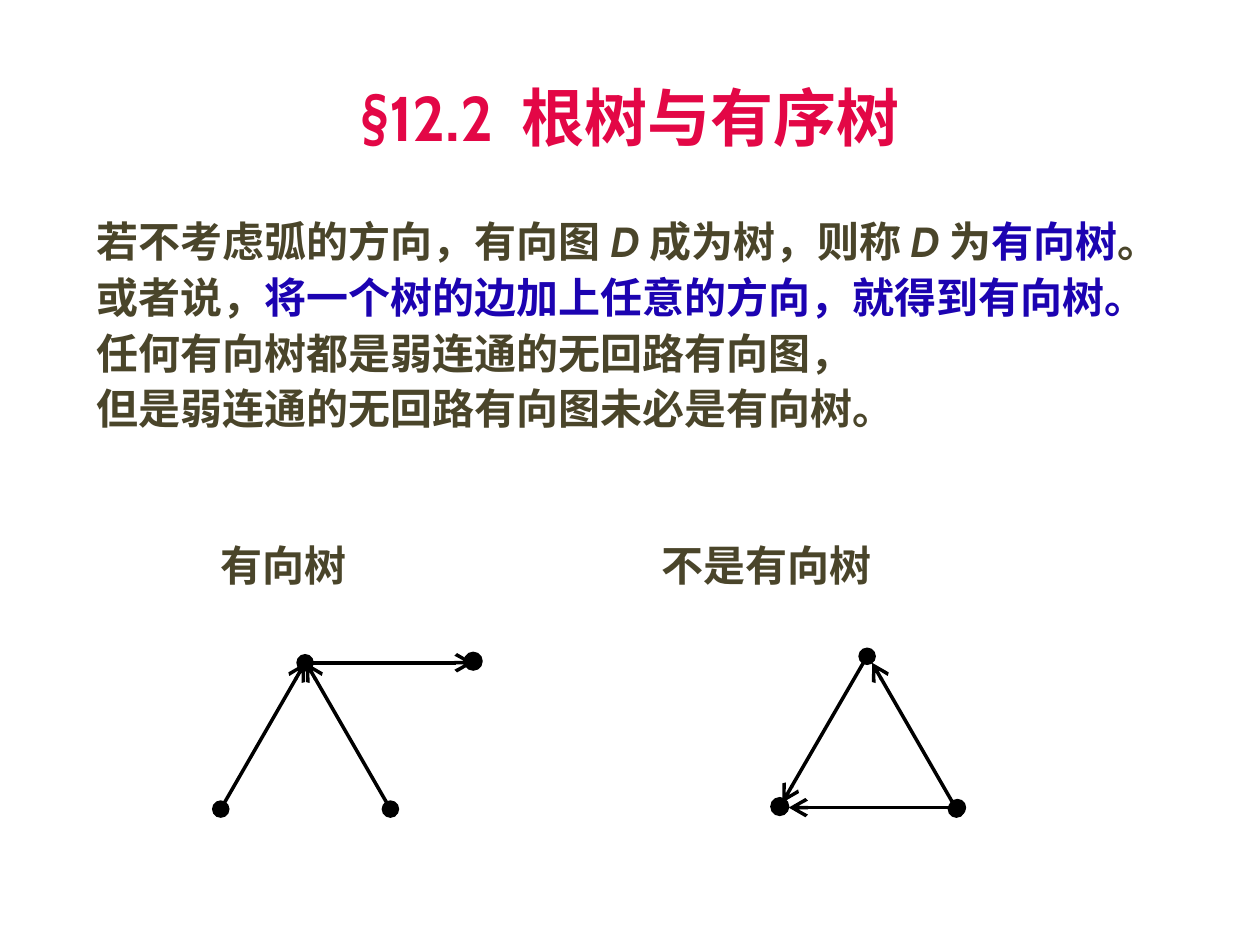
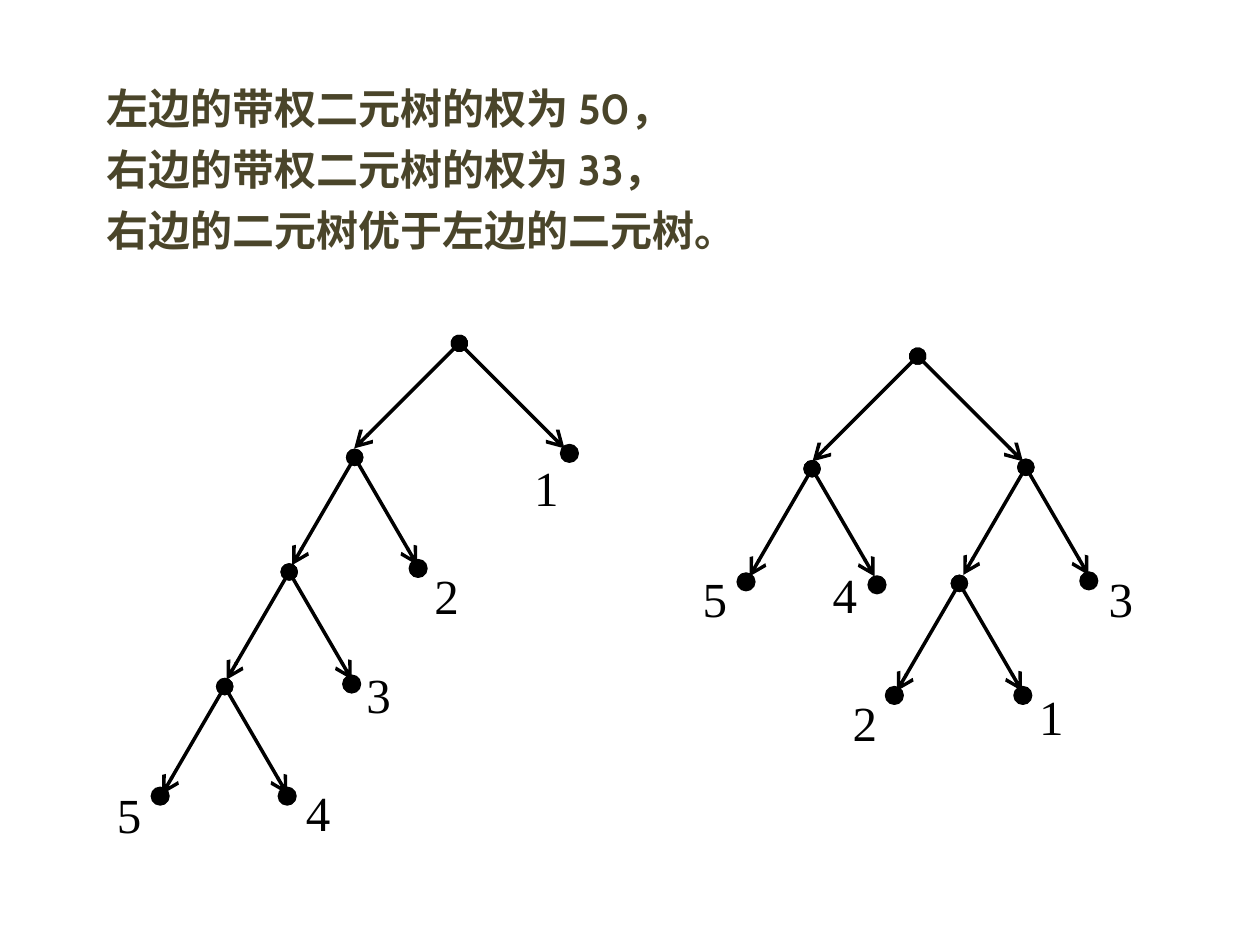
from lxml import etree
from pptx import Presentation
from pptx.dml.color import RGBColor
from pptx.enum.shapes import MSO_CONNECTOR, MSO_SHAPE
from pptx.enum.text import MSO_ANCHOR, MSO_AUTO_SIZE, PP_ALIGN
from pptx.oxml.ns import qn
from pptx.util import Cm, Pt

STRAIGHT = MSO_CONNECTOR.STRAIGHT
OVAL = MSO_SHAPE.OVAL
TOP, MIDDLE = MSO_ANCHOR.TOP, MSO_ANCHOR.MIDDLE
LEFT, CENTER, RIGHT = PP_ALIGN.LEFT, PP_ALIGN.CENTER, PP_ALIGN.RIGHT
NO_FIT = MSO_AUTO_SIZE.NONE

COLORS = {"title": "E30746", "text": "4A452A", "term": "1C03B1", "figure": "000000"}
TITLE = {"name": "Cabin", "size": Pt(36), "bold": True, "color": "title"}
TEXT = {"name": "Cabin", "size": Pt(24), "bold": True, "italic": False, "color": "text"}
TERM = {**TEXT, "color": "term"}
SYMBOL = {**TEXT, "italic": True}
WEIGHT = {"name": "Times New Roman", "size": Pt(28), "bold": False, "color": "figure"}

DOT = 0.36
LABEL_SIZE = (1.6, 1.45)
WIDE, NARROW = (2.12, 2.12), (1.26, 2.17)


def fill_box(box, area, paragraphs, alignment=LEFT, anchor=TOP, spacing=1.0):
    box.left, box.top, box.width, box.height = [Cm(value) for value in area]
    frame = box.text_frame
    settings = {"word_wrap": True, "auto_size": NO_FIT, "vertical_anchor": anchor}
    for key, value in settings.items():
        setattr(frame, key, value)
    for number, spans in enumerate(paragraphs):
        para = frame.paragraphs[0] if number == 0 else frame.add_paragraph()
        properties = para._p.get_or_add_pPr()
        for key in ("marL", "indent", "hangingPunct"):
            properties.set(key, "0")
        etree.SubElement(properties, qn("a:buNone"))
        para.alignment = alignment
        para.line_spacing = spacing
        para.space_before = Pt(6 if number else 0)
        for words, style in spans:
            span = para.add_run()
            span.text = words
            for key, value in style.items():
                if key == "color":
                    span.font.color.rgb = RGBColor.from_string(COLORS[value])
                else:
                    setattr(span.font, key, value)


def draw_graph(page, arrows, dots, labels=()):
    group = page.shapes.add_group_shape()
    black = RGBColor.from_string(COLORS["figure"])
    for start, end in arrows:
        arrow = group.shapes.add_connector(STRAIGHT, *[Cm(value) for value in (*start, *end)])
        arrow.line.color.rgb = black
        arrow.line.width = Pt(2)
        line = arrow.line._get_or_add_ln()
        for tag, tip in (("a:headEnd", "oval"), ("a:tailEnd", "arrow")):
            etree.SubElement(line, qn(tag), type=tip, w="lg", len="lg")
        etree.SubElement(arrow._element.spPr, qn("a:effectLst"))
    for x, y in dots:
        corner = Cm(x - DOT / 2), Cm(y - DOT / 2)
        dot = group.shapes.add_shape(OVAL, *corner, Cm(DOT), Cm(DOT))
        dot.shadow.inherit = False
        dot.fill.solid()
        dot.fill.fore_color.rgb = black
        dot.line.color.rgb = black
        dot.line.width = Pt(0.75)
    for weight, corner in labels:
        area = (*corner, *LABEL_SIZE)
        box = group.shapes.add_textbox(*[Cm(value) for value in area])
        fill_box(box, area, [[(weight, WEIGHT)]], alignment=RIGHT)


deck = Presentation()
deck.slide_width, deck.slide_height = Cm(25.4), Cm(19.05)
layout = deck.slide_layouts[1]

page = deck.slides.add_slide(layout)
fill_box(page.shapes.title, (1.27, 0.76, 22.86, 3.18), [[("§12.2  根树与有序树", TITLE)]],
         alignment=CENTER, anchor=MIDDLE)
definition = [
    [("若不考虑弧的方向，有向图 ", TEXT), ("D ", SYMBOL), ("成为树，则称 ", TEXT),
     ("D ", SYMBOL), ("为", TEXT), ("有向树", TERM), ("。", TEXT)],
    [("或者说，", TEXT), ("将一个树的边加上任意的方向，就得到有向树。", TERM)],
    [("任何有向树都是弱连通的无回路有向图，", TEXT)],
    [("但是弱连通的无回路有向图未必是有向树。", TEXT)],
]
fill_box(page.placeholders[1], (1.7, 4.33, 22.02, 6.35), definition, spacing=0.9)
for caption, left in (("有向树", 4.19), ("不是有向树", 13.09)):
    area = (left, 10.76, 6, 1.3)
    box = page.shapes.add_textbox(*[Cm(value) for value in area])
    fill_box(box, area, [[(caption, TEXT)]])

directed_tree = [
    ((6.15, 13.36), (9.55, 13.36)),
    ((7.87, 16.31), (6.17, 13.36)),
    ((4.45, 16.31), (6.15, 13.36)),
]
cycle = [
    ((19.3, 16.28), (15.9, 16.28)),
    ((19.28, 16.31), (17.58, 13.36)),
    ((17.48, 13.23), (15.77, 16.18)),
]
draw_graph(page, directed_tree, [(9.54, 13.33)])
draw_graph(page, cycle, [(15.72, 16.26)])

page = deck.slides.add_slide(layout)
title = page.shapes.title._element
title.getparent().remove(title)
comparison = [
    "左边的带权二元树的权为 50，",
    "右边的带权二元树的权为 33，",
    "右边的二元树优于左边的二元树。",
]
fill_box(page.placeholders[1], (1.9, 1.53, 22.91, 3.99), [[(words, TEXT)] for words in comparison])

left_tree = {
    "parents": [(9.26, 6.92), (7.15, 9.22), (5.83, 11.53), (4.53, 13.84)],
    "leaves": [
        ("1", (11.48, 9.14), (9.91, 9.09)),
        ("2", (8.43, 11.46), (7.9, 11.28)),
        ("3", (7.09, 13.79), (6.53, 13.28)),
        ("4", (5.79, 16.05), (5.31, 15.65)),
        ("5", (3.23, 16.05), (1.5, 15.7)),
    ],
}
right_tree = {
    "parents": [(18.5, 7.18), (16.37, 9.45), (20.68, 9.42), (19.34, 11.76)],
    "leaves": [
        ("5", (15.04, 11.73), (13.31, 11.33)),
        ("4", (17.68, 11.79), (15.93, 11.25)),
        ("3", (21.95, 11.71), (21.49, 11.33)),
        ("2", (18.03, 14.02), (16.33, 13.84)),
        ("1", (20.62, 14.02), (20.09, 13.72)),
    ],
}
for tree in (left_tree, right_tree):
    branches = []
    for level, (x, y) in enumerate(tree["parents"]):
        across, down = NARROW if level else WIDE
        for side in (-1, 1):
            branches.append(((x, y), (x + side * across, y + down)))
    dots = [center for weight, center, corner in tree["leaves"]]
    labels = [(weight, corner) for weight, center, corner in tree["leaves"]]
    draw_graph(page, branches, dots, labels)

deck.save("out.pptx")
